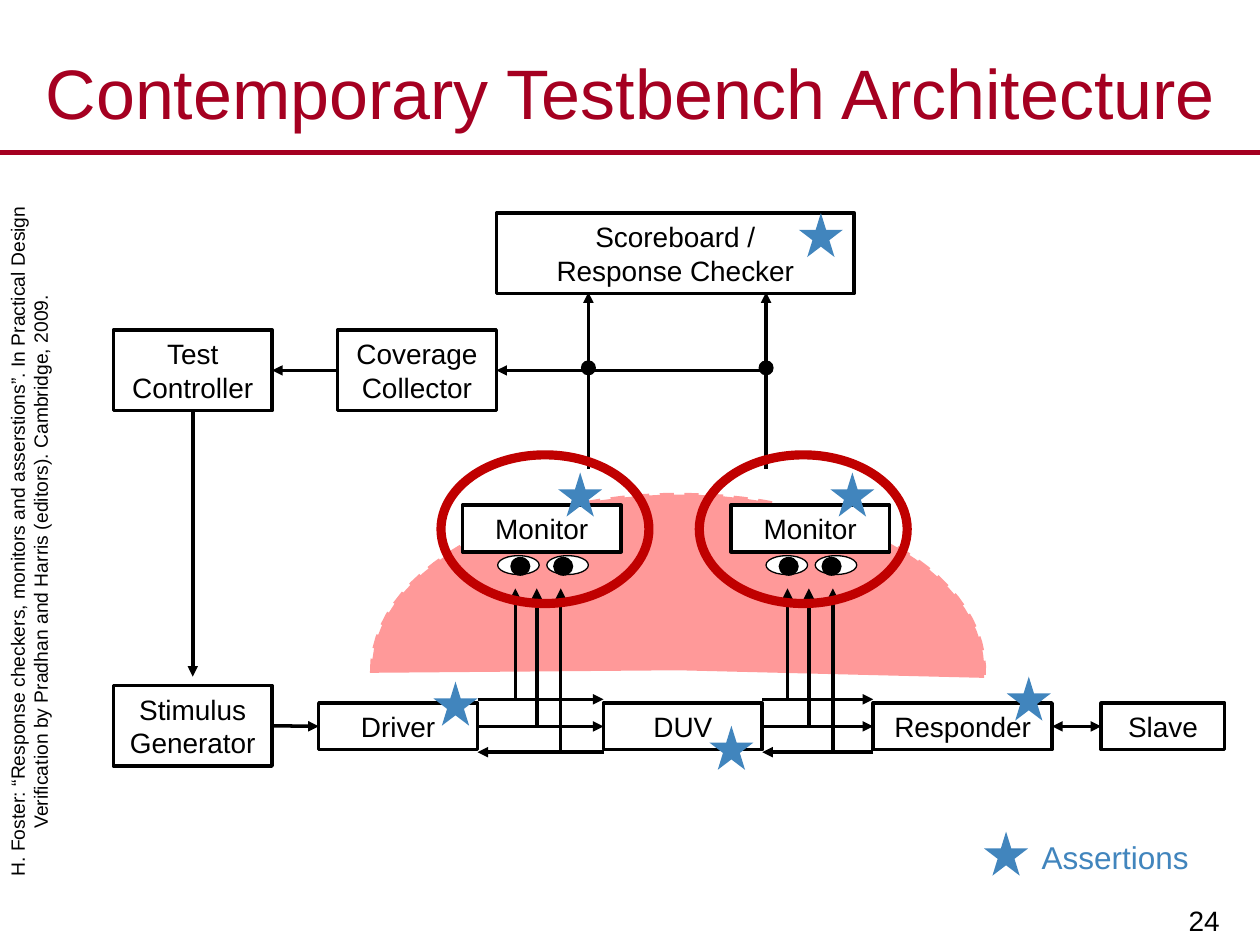
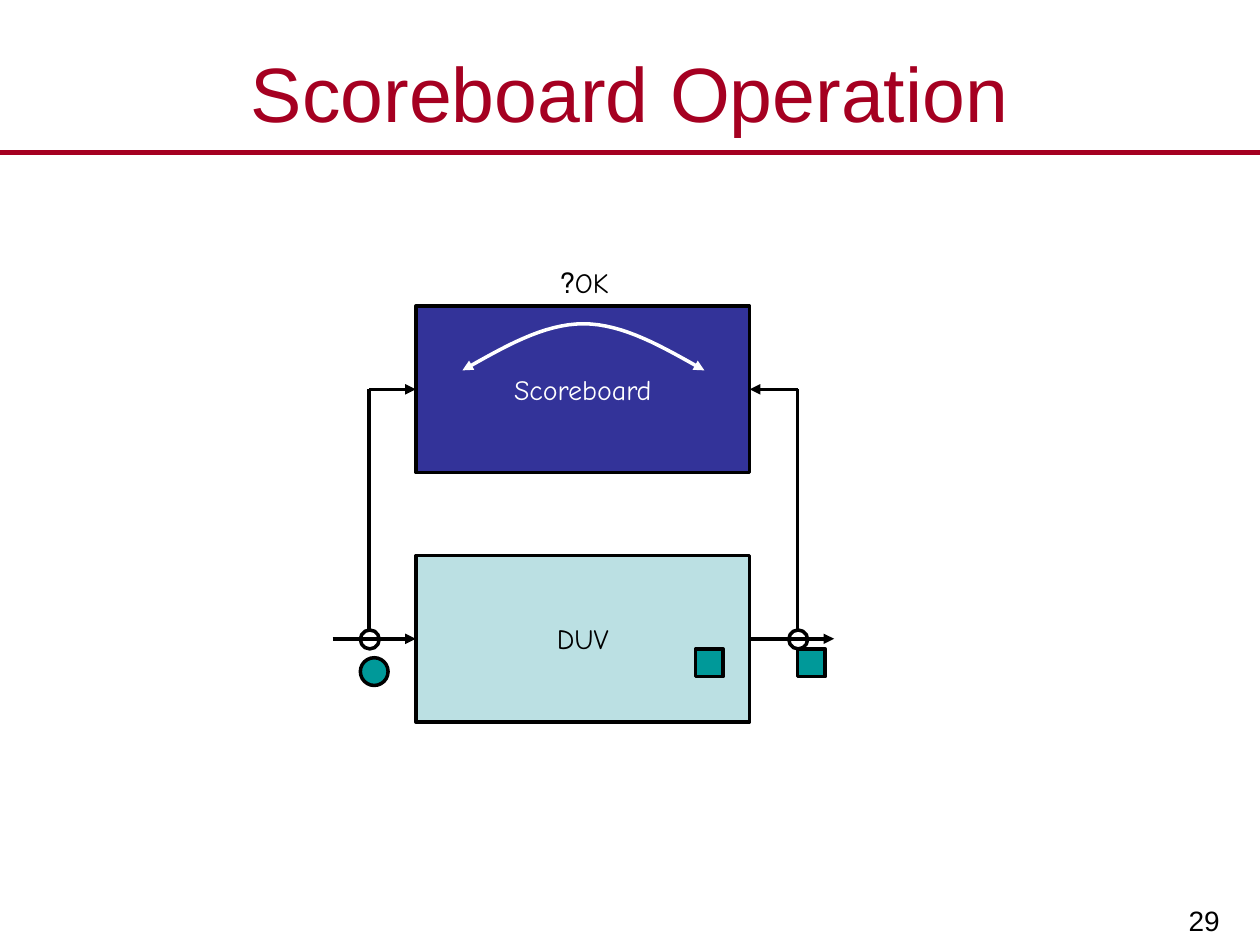
from dataclasses import dataclass

from lxml import etree
from pptx import Presentation
from pptx.dml.color import RGBColor
from pptx.enum.dml import MSO_LINE
from pptx.enum.shapes import MSO_CONNECTOR, MSO_SHAPE
from pptx.enum.text import MSO_ANCHOR, PP_ALIGN
from pptx.oxml.ns import qn
from pptx.util import Inches, Pt

RECTANGLE, OVAL, STAR = MSO_SHAPE.RECTANGLE, MSO_SHAPE.OVAL, MSO_SHAPE.STAR_5_POINT
STRAIGHT = MSO_CONNECTOR.STRAIGHT
LEFT, CENTER, RIGHT = PP_ALIGN.LEFT, PP_ALIGN.CENTER, PP_ALIGN.RIGHT
TOP, MIDDLE, BOTTOM = MSO_ANCHOR.TOP, MSO_ANCHOR.MIDDLE, MSO_ANCHOR.BOTTOM
DASH = MSO_LINE.DASH
LEFT_SIDE, BOTTOM_SIDE, RIGHT_SIDE = 1, 2, 3


@dataclass(frozen=True)
class Theme:
    heading: str = "A50021"
    ink: str = "000000"
    paper: str = "FFFFFF"
    dome: str = "FF9999"
    star: str = "4185BD"
    ring: str = "C00000"
    scoreboard: str = "333399"
    device: str = "BBE0E3"
    token: str = "009999"
    font: str = "Arial"
    hand_font: str = "Comic Neue"
    wide_title_size: float = 40
    title_size: float = 44
    label_size: float = 16
    legend_size: float = 18
    citation_size: float = 11
    line_weight: float = 2
    rule_weight: float = 3
    ring_weight: float = 5.25
    eye_weight: float = 0.75


THEME = Theme()


def color(value):
    return RGBColor.from_string(value)


def style(shape, fill=None, line=None, weight=THEME.line_weight):
    if fill:
        shape.fill.solid()
        shape.fill.fore_color.rgb = color(fill)
    else:
        shape.fill.background()
    if line:
        shape.line.color.rgb = color(line)
        shape.line.width = Pt(weight)
    else:
        shape.line.fill.background()
    shape.shadow.inherit = False


def add_arrowheads(shape, head, tail):
    line = shape.element.spPr.get_or_add_ln()
    for name, wanted in (("a:headEnd", head), ("a:tailEnd", tail)):
        if wanted:
            etree.SubElement(line, qn(name), type="triangle")


def write(shape, lines, size=THEME.label_size, ink=THEME.ink, font=THEME.font,
          align=CENTER, anchor=MIDDLE, margins=(0.1, 0.05)):
    frame = shape.text_frame
    frame.word_wrap = True
    frame.vertical_anchor = anchor
    frame.margin_left = frame.margin_right = Inches(margins[0])
    frame.margin_top = frame.margin_bottom = Inches(margins[1])
    for index, text in enumerate(lines):
        paragraph = frame.add_paragraph() if index else frame.paragraphs[0]
        paragraph.alignment = align
        run = paragraph.add_run()
        run.text = text
        run.font.size = Pt(size)
        run.font.name = font
        run.font.color.rgb = color(ink)


@dataclass
class Region:
    slide: object
    left: float = 0
    top: float = 0

    def inside(self, x, y):
        return Region(self.slide, self.left + x, self.top + y)

    def place(self, x, y):
        return Inches(self.left + x), Inches(self.top + y)

    def shape(self, kind, x, y, width, height, **look):
        shape = self.slide.shapes.add_shape(
            kind, *self.place(x, y), Inches(width), Inches(height))
        style(shape, **look)
        return shape

    def block(self, lines, x, y, width, height, fill=None, **text):
        shape = self.shape(RECTANGLE, x, y, width, height, fill=fill, line=THEME.ink)
        write(shape, lines, **text)
        return shape

    def text(self, lines, x, y, width, height, **text):
        box = self.slide.shapes.add_textbox(
            *self.place(x, y), Inches(width), Inches(height))
        write(box, lines, **text)
        return box

    def star(self, x, y):
        self.shape(STAR, x, y, 0.35, 0.35, fill=THEME.star)

    def line(self, start, end, head=False, tail=False, begin=None, finish=None,
             ink=THEME.ink, weight=THEME.line_weight):
        connector = self.slide.shapes.add_connector(
            STRAIGHT, *self.place(*start), *self.place(*end))
        if begin:
            connector.begin_connect(*begin)
        if finish:
            connector.end_connect(*finish)
        connector.line.color.rgb = color(ink)
        connector.line.width = Pt(weight)
        add_arrowheads(connector, head, tail)
        etree.SubElement(connector.element.spPr, qn("a:effectLst"))

    def link(self, first, second, **heads):
        self.line((0, 0), (0, 0), begin=(first, RIGHT_SIDE),
                  finish=(second, LEFT_SIDE), **heads)

    def outline(self, points, close=False, **look):
        builder = self.slide.shapes.build_freeform(*self.place(*points[0]))
        builder.add_line_segments([self.place(*point) for point in points[1:]], close)
        shape = builder.convert_to_shape()
        style(shape, **look)
        return shape


def curve_points(start, *curves, steps=16):
    points = [start]
    for first, second, end in curves:
        origin = points[-1]
        for step in range(1, steps + 1):
            t = step / steps
            u = 1 - t
            points.append(tuple(
                u ** 3 * a + 3 * u * u * t * b + 3 * u * t * t * c + t ** 3 * d
                for a, b, c, d in zip(origin, first, second, end)))
    return points


def draw_frame(region, title, title_size, number):
    region.line((0, 1.21), (10, 1.21), ink=THEME.heading, weight=THEME.rule_weight)
    region.text([number], 7.8, 6.93, 1.99, 0.57, align=RIGHT, anchor=BOTTOM,
                margins=(0.11, 0.06))
    region.text([title], 0, 0.3, 10, 0.86, size=title_size, ink=THEME.heading)


def draw_citation(region):
    box = region.text(
        ["H. Foster: “Response checkers, monitors and asserstions”. In Practical Design "
         "Verification by Pradhan and Harris (editors). Cambridge, 2009."],
        0, 0, 5.98, 0.55, size=THEME.citation_size, align=LEFT, anchor=TOP)
    box.rotation = 270
    properties = box.text_frame.paragraphs[0]._p.get_or_add_pPr()
    properties.set("marL", str(Inches(0.38)))
    properties.set("indent", str(-Inches(0.38)))


def draw_dome(region):
    arc = curve_points(
        (0, 1.48),
        ((-0.01, 0.97), (0.46, 0.5), (1.22, 0.25)),
        ((1.99, 0), (2.94, 0), (3.7, 0.27)),
        ((4.45, 0.53), (4.9, 1.01), (4.86, 1.52)))
    region.outline(arc + [(2.43, 1.46)], close=True, fill=THEME.dome)
    region.outline(arc, line=THEME.dome).line.dash_style = DASH


def draw_monitor(region, probe_left, ring_left, feed):
    region.block(["Monitor"], 0, 0, 1.26, 0.37, fill=THEME.paper)
    for eye, pupil in ((0.67, 0.72), (0.28, 0.38)):
        region.shape(OVAL, eye, 0.4, 0.33, 0.15, fill=THEME.paper,
                     line=THEME.ink, weight=THEME.eye_weight)
        region.shape(OVAL, pupil, 0.41, 0.16, 0.15, fill=THEME.ink)
    for offset, bottom in ((0, 1.54), (0.17, 1.75), (0.36, 1.96)):
        x = probe_left + offset
        region.line((x, 0.66), (x, bottom), head=True)
    region.line((feed, -0.29), (feed, -1.69), tail=True)
    region.shape(OVAL, feed - 0.06, -1.15, 0.12, 0.12, fill=THEME.ink)
    region.star(probe_left + 0.34, -0.26)
    region.shape(OVAL, ring_left, -0.4, 1.65, 1.18,
                 line=THEME.ring, weight=THEME.ring_weight)


def draw_bus(region, width, source, target):
    region.line((0, 0), (width, 0), tail=True)
    region.link(source, target, tail=True)
    region.line((width, 0.42), (0, 0.42), tail=True)


def draw_architecture(region):
    draw_dome(region.inside(2.05, 2.17))
    controller = region.block(["Test Controller"], 0, 0.93, 1.26, 0.64)
    region.block(["Scoreboard /", "Response Checker"], 3.04, 0, 2.84, 0.64)
    collector = region.block(["Coverage Collector"], 1.78, 0.93, 1.26, 0.64)
    stimulus = region.block(["Stimulus Generator"], 0, 3.75, 1.26, 0.64)
    driver, device, responder, slave = [
        region.block([name], x, 3.89, width, 0.37)
        for name, x, width in (("Driver", 1.63, 1.26), ("DUV", 3.89, 1.26),
                               ("Responder", 6.03, 1.42), ("Slave", 7.84, 0.98))]

    region.line((0.63, 1.57), (0.63, 3.68), tail=True, begin=(controller, BOTTOM_SIDE))
    region.link(stimulus, driver, tail=True)
    region.link(responder, slave, head=True, tail=True)
    region.link(controller, collector, head=True)
    region.line((5.18, 1.25), (3.04, 1.25), tail=True, finish=(collector, RIGHT_SIDE))
    draw_bus(region.inside(2.89, 3.86), 1, driver, device)
    draw_bus(region.inside(5.15, 3.86), 0.88, device, responder)

    draw_monitor(region.inside(2.77, 2.32), probe_left=0.42, ring_left=-0.17, feed=1)
    draw_monitor(region.inside(4.9, 2.32), probe_left=0.45, ring_left=-0.25, feed=0.28)
    for x, y in ((5.44, 0), (2.54, 3.72), (4.73, 4.07), (7.09, 3.68), (6.91, 4.91)):
        region.star(x, y)
    region.text(["Assertions"], 7.09, 4.91, 1.72, 0.4,
                size=THEME.legend_size, ink=THEME.star, anchor=TOP)


def draw_tap(region, x, block, side):
    region.shape(OVAL, x - 0.07, 2.93, 0.15, 0.15, line=THEME.ink)
    region.line((x, 2.93), (x, 1.02))
    region.line((x, 1.02), (x, 1.02), tail=True, finish=(block, side))


def draw_scoreboard(region):
    hand = {"font": THEME.hand_font, "margins": (0.09, 0.04)}
    device = region.block(["DUV"], 0.66, 2.34, 2.65, 1.32, fill=THEME.device, **hand)
    scoreboard = region.block(["Scoreboard"], 0.66, 0.36, 2.65, 1.32,
                              fill=THEME.scoreboard, ink=THEME.paper, **hand)
    region.line((0, 3), (0.66, 3), tail=True, finish=(device, LEFT_SIDE))
    region.line((3.31, 3), (3.98, 3), tail=True, begin=(device, RIGHT_SIDE))
    draw_tap(region, 0.29, scoreboard, LEFT_SIDE)
    draw_tap(region, 3.69, scoreboard, RIGHT_SIDE)

    for kind, x, y in ((OVAL, 0.22, 3.15), (RECTANGLE, 2.88, 3.08),
                       (RECTANGLE, 3.69, 3.08)):
        region.shape(kind, x, y, 0.22, 0.22, fill=THEME.token, line=THEME.ink)

    comparison = region.outline(curve_points(
        (1.03, 0.87),
        ((1.35, 0.69), (1.67, 0.5), (1.99, 0.5)),
        ((2.31, 0.5), (2.63, 0.69), (2.95, 0.87))), line=THEME.paper)
    add_arrowheads(comparison, True, True)

    verdict = region.text(["OK?"], 1.71, 0, 0.57, 0.36, align=RIGHT, anchor=TOP, **hand)
    verdict.text_frame.word_wrap = False
    verdict.text_frame.paragraphs[0]._p.get_or_add_pPr().set("rtl", "1")


def main():
    presentation = Presentation()
    presentation.slide_width = Inches(10)
    presentation.slide_height = Inches(7.5)
    blank = presentation.slide_layouts[6]

    page = Region(presentation.slides.add_slide(blank))
    draw_frame(page, "Contemporary Testbench Architecture", THEME.wide_title_size, "24")
    draw_citation(page.inside(-2.72, 3.79))
    draw_architecture(page.inside(0.9, 1.69))

    page = Region(presentation.slides.add_slide(blank))
    draw_frame(page, "Scoreboard Operation", THEME.title_size, "29")
    draw_scoreboard(page.inside(2.64, 2.07))

    presentation.save("out.pptx")


if __name__ == "__main__":
    main()
